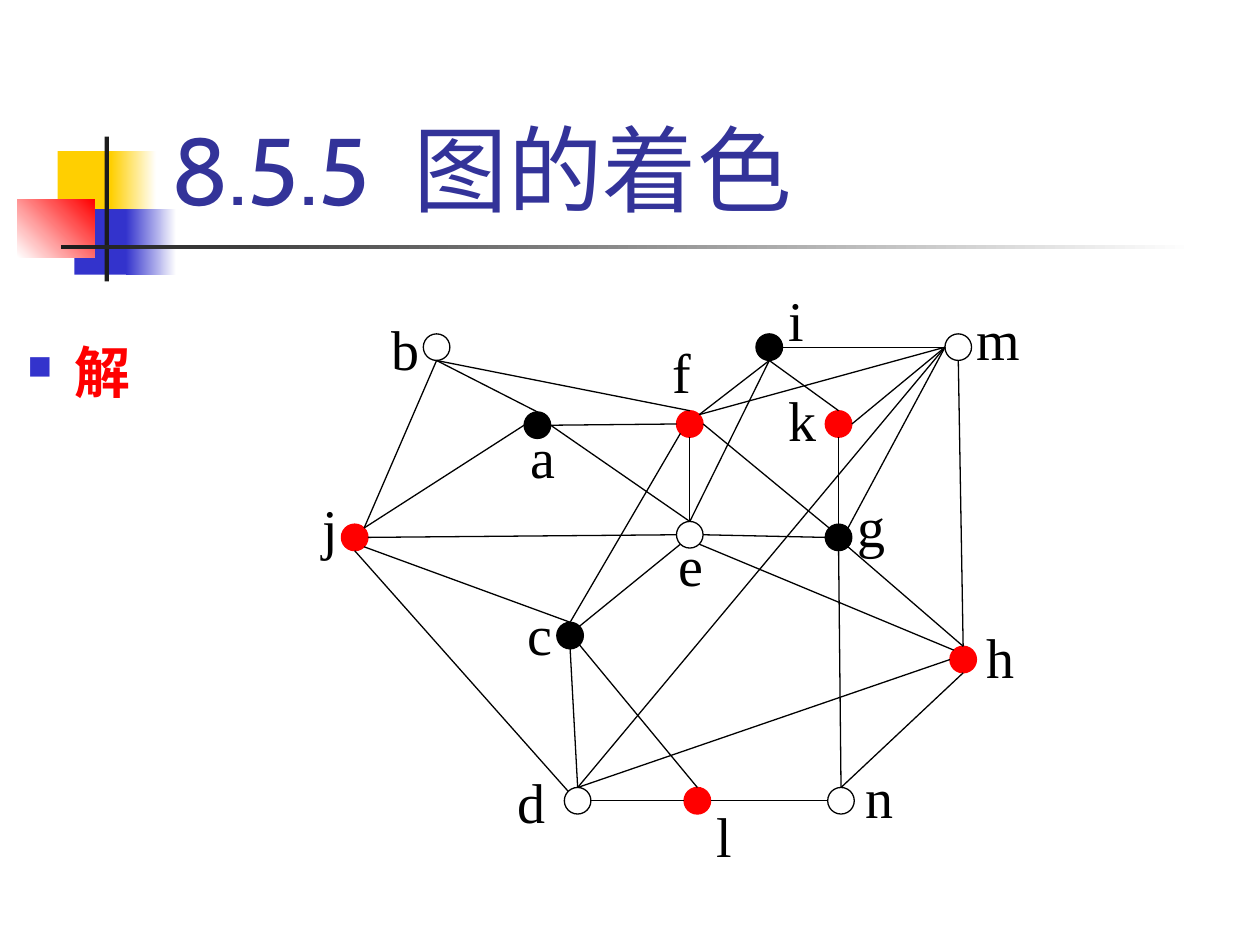
from dataclasses import dataclass
from math import sqrt

from lxml.etree import SubElement
from pptx import Presentation
from pptx.dml.color import RGBColor as RGB
from pptx.enum.shapes import MSO_CONNECTOR as Link, MSO_SHAPE as Kind
from pptx.enum.text import MSO_ANCHOR as Anchor
from pptx.oxml.ns import qn
from pptx.util import Pt


@dataclass(frozen=True)
class Theme:
    black: str = "000000"
    white: str = "FFFFFF"
    red: str = "FF0000"
    gold: str = "FFCF01"
    blue: str = "3333CC"
    navy: str = "333399"
    dark: str = "1C1C1C"
    sans: str = "Cabin"
    serif: str = "Times New Roman"
    head: float = 54
    body: float = 32
    thin: float = 0.75


class Board:
    def __init__(self, slide, theme):
        self.slide = slide
        self.theme = theme

    def shape(self, kind, box, fill, line=None):
        item = self.slide.shapes.add_shape(kind, *map(Pt, box))
        item.shadow.inherit = False
        item.fill.solid()
        item.fill.fore_color.rgb = RGB.from_string(fill)
        if line:
            item.line.color.rgb = RGB.from_string(line)
            item.line.width = Pt(self.theme.thin)
        else:
            item.line.fill.background()
        return item

    def fade(self, box, start, end, angle=0):
        """Rectangle with a two-colour gradient; the angle runs anticlockwise."""
        item = self.shape(Kind.RECTANGLE, box, start)
        item.fill.gradient()
        item.fill.gradient_angle = angle
        for stop, color in zip(item.fill.gradient_stops, (start, end)):
            stop.color.rgb = RGB.from_string(color)

    def run(self, para, text, size, font, color, bold=False):
        run = para.add_run()
        run.text = text
        run.font.size = Pt(size)
        run.font.name = font
        run.font.bold = bold
        run.font.color.rgb = RGB.from_string(color)
        return run

    def text(self, box, anchor=Anchor.TOP):
        """Add a wrapping text box and return its first paragraph."""
        frame = self.slide.shapes.add_textbox(*map(Pt, box)).text_frame
        frame.word_wrap = True
        frame.vertical_anchor = anchor
        return frame.paragraphs[0]

    def title(self, box, number, name):
        look = self.theme.head, self.theme.sans, self.theme.navy
        para = self.text(box, Anchor.BOTTOM)
        self.run(para, number, *look)
        gap = self.run(para, " ", *look)
        gap._r.get_or_add_rPr().set("spc", "1300")
        self.run(para, name, *look)

    def bullet(self, box, text, indent=27):
        para = self.text(box)
        para.line_spacing = 2.0
        props = para._p.get_or_add_pPr()
        props.set("marL", str(Pt(indent)))
        props.set("indent", str(-Pt(indent)))
        color = SubElement(props, qn("a:buClr"))
        SubElement(color, qn("a:srgbClr"), val=self.theme.blue)
        SubElement(props, qn("a:buSzPct"), val="60000")
        SubElement(props, qn("a:buChar"), char="■")
        self.run(para, text, self.theme.body, self.theme.sans,
                 self.theme.red, True)

    def label(self, text, left, top):
        white = self.theme.white
        item = self.shape(Kind.RECTANGLE, (left, top, 61, 66), white, white)
        frame = item.text_frame
        frame.word_wrap = True
        frame.vertical_anchor = Anchor.TOP
        frame.margin_left = frame.margin_right = Pt(10)
        frame.margin_top = frame.margin_bottom = Pt(5)
        para = frame.paragraphs[0]
        para.alignment = 1
        self.run(para, text, self.theme.body, self.theme.serif,
                 self.theme.black)

    def node(self, x, y, fill):
        line = self.theme.black if fill == self.theme.white else fill
        box = (x - RADIUS, y - RADIUS, 2 * RADIUS, 2 * RADIUS)
        self.shape(Kind.OVAL, box, fill, line)

    def edge(self, start, end):
        item = self.slide.shapes.add_connector(
            Link.STRAIGHT, *map(Pt, start + end))
        item.line.color.rgb = RGB.from_string(self.theme.black)
        item.line.width = Pt(self.theme.thin)
        SubElement(item._element.spPr, qn("a:effectLst"))


THEME = Theme()
RADIUS = 7.6
DIAG = 1 / sqrt(2)
SITES = {
    "n": (0, -1), "ne": (DIAG, -DIAG), "e": (1, 0), "se": (DIAG, DIAG),
    "s": (0, 1), "sw": (-DIAG, DIAG), "w": (-1, 0), "nw": (-DIAG, -DIAG),
}
# name: centre x, centre y, colour, label left, label top
NODES = {
    "d": (330.1, 457.6, THEME.white, 285.8, 433.4),
    "l": (398.5, 457.6, THEME.red, 399.6, 452.9),
    "n": (480.6, 457.6, THEME.white, 484.6, 430.6),
    "c": (325.8, 363.2, THEME.black, 291.6, 337.7),
    "h": (550.4, 376.9, THEME.red, 553.7, 350.6),
    "g": (479.2, 307.1, THEME.black, 480.2, 275.8),
    "m": (547.6, 198.4, THEME.white, 547.9, 169.2),
    "k": (479.2, 242.3, THEME.red, 440.6, 215.3),
    "a": (307.1, 243, THEME.black, 293, 236.2),
    "f": (394.2, 242.3, THEME.red, 374.4, 187.9),
    "e": (394.2, 305.6, THEME.white, 378, 298.1),
    "i": (439.6, 198.4, THEME.black, 440.6, 158.4),
    "j": (202.7, 307.1, THEME.red, 174.2, 277.2),
    "b": (249.5, 198.4, THEME.white, 213.8, 175),
}
# Each end is node:side, with the side as a compass point
EDGES = """
a:e f:w, a:w j:ne, b:s j:ne, b:s f:n, i:s f:ne, i:s k:n, i:s e:n,
a:e e:n, f:s e:n, k:s g:n, e:e g:w, j:e e:w, f:e g:nw, i:e m:w,
f:ne m:w, m:w k:e, m:w g:ne, m:w d:n, m:s h:n, e:se h:nw, g:se h:n,
h:s n:n, h:w d:n, f:sw c:n, j:se c:n, c:s d:n, j:s d:nw, e:sw c:ne,
c:se l:n, d:e l:w, l:e n:w, g:s n:n, b:s a:n
"""


def point(end):
    """Turn node:side into a point on the node's rim."""
    name, side = end.split(":")
    x, y = NODES[name][:2]
    dx, dy = SITES[side]
    return x + RADIUS * dx, y + RADIUS * dy


def decor(board):
    t = board.theme
    board.shape(Kind.RECTANGLE, (33, 86.4, 34.6, 37.4), t.gold)
    board.fade((63.4, 86.4, 25.9, 37.4), t.gold, t.white)
    board.shape(Kind.RECTANGLE, (42.5, 119.5, 33.1, 37.4), t.blue)
    board.fade((72, 119.5, 28.8, 37.4), t.blue, t.white)
    board.fade((10, 113.8, 44, 33.1), t.white, t.red, 45)
    board.shape(Kind.RECTANGLE, (59.8, 78, 2.5, 82.8), t.dark)
    board.fade((34.6, 140, 648, 2.5), t.dark, t.white)


def graph(board):
    for name, (_, _, _, left, top) in NODES.items():
        board.label(name, left, top)
    for x, y, fill, _, _ in NODES.values():
        board.node(x, y, fill)
    for pair in EDGES.split(","):
        board.edge(*map(point, pair.split()))


def main():
    deck = Presentation()
    deck.slide_width, deck.slide_height = Pt(720), Pt(540)
    board = Board(deck.slides.add_slide(deck.slide_layouts[6]), THEME)
    decor(board)
    board.title((90.7, 16.6, 613.4, 115.2), "8.5.5", "图的着色")
    board.bullet((8.6, 151.2, 702.7, 388.8), "解")
    graph(board)
    deck.save("out.pptx")


if __name__ == "__main__":
    main()
